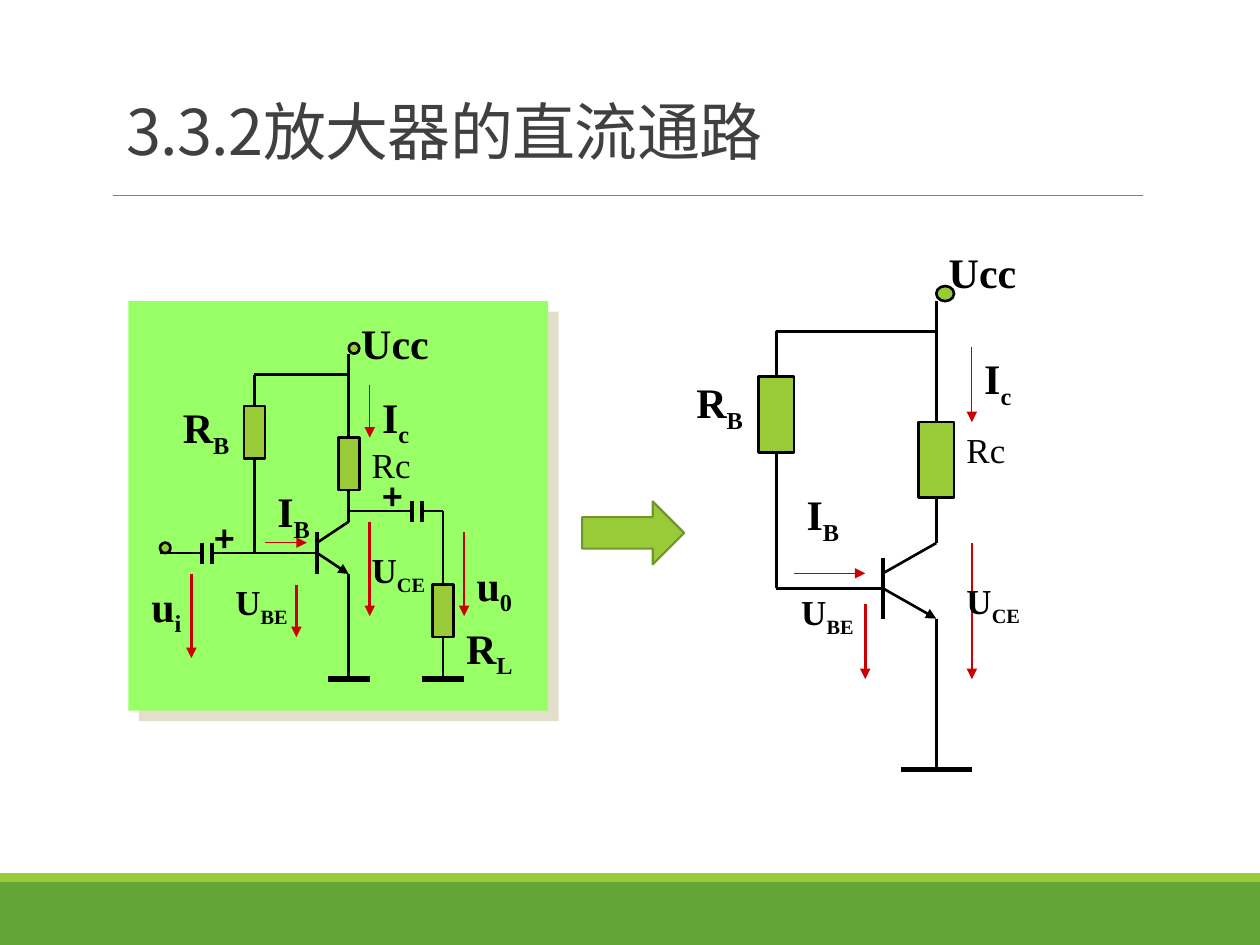
import pptx
import pptx.util
import pptx.dml.color
import pptx.enum.shapes
import pptx.enum.text
import pptx.oxml
import pptx.oxml.ns
from dataclasses import dataclass
from lxml import etree

KIND = pptx.enum.shapes.MSO_SHAPE
ANCHOR = pptx.enum.text.MSO_ANCHOR
qn = pptx.oxml.ns.qn


@dataclass(frozen=True)
class Theme:
    sans: str = "Noto Sans CJK SC"
    serif: str = "Times New Roman"
    black: str = "000000"
    red: str = "CC0000"
    green: str = "99CB38"
    dark: str = "63A537"
    edge: str = "719629"
    panel: str = "99FF66"
    shade: str = "E2DFCC"
    gray: str = "808080"
    ink: str = "404040"
    title: int = 36
    large: int = 24
    small: int = 20
    wire: float = 1.5
    plate: float = 2.25
    earth: float = 3
    thin: float = 0.75


T = Theme()


def rgb(code):
    return pptx.dml.color.RGBColor.from_string(code)


def write(frame, text, sub="", size=T.large, bold=True, font=T.serif,
          color=T.black, space=None, gap=None):
    """Fill a text frame with one paragraph and an optional subscript."""
    frame.word_wrap = True
    para = frame.paragraphs[0]
    para.alignment = pptx.enum.text.PP_ALIGN.LEFT
    para.line_spacing = space
    para.space_before = pptx.util.Pt(0)
    for part, base in ((text, 0), (sub, -25000)):
        if not part:
            continue
        run = para.add_run()
        run.text = part
        run.font.size = pptx.util.Pt(size)
        run.font.bold = bold
        run.font.color.rgb = rgb(color)
        run.font.name = font
        props = run.font._element
        etree.SubElement(props, qn("a:ea"), typeface=font)
        if base:
            props.set("baseline", str(base))
        if gap:
            props.set("spc", str(gap))


class Grid:
    """Draws parts at columns and rows of a box (left, top, width, height)."""

    def __init__(self, shapes, box, cols, rows):
        self.shapes = shapes
        self.left, self.top, width, height = box
        self.dx, self.dy = width / cols, height / rows

    def point(self, col, row):
        return (pptx.util.Inches(self.left + col * self.dx),
                pptx.util.Inches(self.top + row * self.dy))

    def area(self, col, row, wide, high):
        return (*self.point(col, row), pptx.util.Inches(wide * self.dx),
                pptx.util.Inches(high * self.dy))

    def shape(self, kind, area, fill=T.green, line=T.black, width=T.wire):
        item = self.shapes.add_shape(kind, *self.area(*area))
        item.shadow.inherit = False
        item.fill.solid()
        item.fill.fore_color.rgb = rgb(fill)
        if line:
            item.line.color.rgb = rgb(line)
            item.line.width = pptx.util.Pt(width)
        else:
            item.line.fill.background()
        return item

    def wire(self, start, stop, color=T.black, width=T.wire, head=False,
             begin=None, end=None):
        item = self.shapes.add_connector(
            pptx.enum.shapes.MSO_CONNECTOR.STRAIGHT,
            *self.point(*start), *self.point(*stop))
        item.line.color.rgb = rgb(color)
        item.line.width = pptx.util.Pt(width)
        if head:
            etree.SubElement(item.line._get_or_add_ln(), qn("a:tailEnd"),
                             type="triangle")
        etree.SubElement(item._element.spPr, qn("a:effectLst"))
        if begin:
            item.begin_connect(*begin)
        if end:
            item.end_connect(*end)

    def arrow(self, start, stop, width=T.wire):
        self.wire(start, stop, T.red, width, head=True)

    def label(self, area, text, sub="", **form):
        box = self.shapes.add_textbox(*self.area(*area))
        write(box.text_frame, text, sub, **form)

    def node(self, col, row):
        self.shape(KIND.OVAL, (col, row, 1, 1))

    def ground(self, col):
        self.wire((col - 2, 36), (col + 2, 36), width=T.earth)

    def load(self, col, row):
        return self.shape(KIND.RECTANGLE, (col - 1, row, 2, 5))

    def cap(self, col, row):
        for plate in (col, col + 1):
            self.wire((plate, row - 1), (plate, row + 1), width=T.plate)


def stage(grid, bias, drop, name):
    """Transistor with its bias; bias, drop and name place what varies."""
    # Currents and voltages
    grid.arrow((13, 23), (17, 23), T.thin)
    grid.arrow((23, 8), (23, 13), T.thin)
    grid.arrow((23, 21), (23, 30))
    grid.arrow(drop, (drop[0], drop[1] + 5))
    # Transistor
    grid.wire((18, 22), (18, 26), width=T.plate)
    grid.wire((18, 23), (21, 21))
    grid.wire((18, 24), (21, 26), head=True)
    # Collector and emitter branch
    grid.wire((21, 21), (21, 5))
    grid.wire((21, 26), (21, 36))
    grid.ground(21)
    grid.load(21, 13)
    grid.node(21, 4)
    # Base branch
    base = grid.load(12, 10)
    grid.wire((12, 7), (21, 7))
    grid.wire((12, 7), (12, 10), end=(base, 0))
    grid.wire((12, 15), (12, 24), begin=(base, 2))
    # Labels
    grid.label((21, 1, 9, 6), "Ucc")
    grid.label((23, 8, 6, 6), "I", "c")
    grid.label((13, 17, 6, 6), "I", "B")
    grid.label((*bias, 8, 6), "R", "B")
    grid.label((22, 13, 7, 5), "Rc", size=T.small, bold=False)
    grid.label((*name, 8, 5), "U", "BE", size=T.small)
    grid.label((22, 23, 8, 5), "U", "CE", size=T.small)


def full(shapes, box):
    """Whole amplifier on a shaded panel."""
    grid = Grid(shapes, box, 40, 39)
    panel = grid.shape(KIND.RECTANGLE, (0, 0, 40, 39), T.panel, None)
    shade = etree.SubElement(panel._element.spPr.find(qn("a:effectLst")),
                             qn("a:outerShdw"), dist="107950", dir="2700000",
                             algn="ctr", rotWithShape="0")
    etree.SubElement(shade, qn("a:srgbClr"), val=T.shade)
    stage(grid, bias=(4, 9), drop=(16, 27), name=(9, 26))
    # Input
    grid.node(3, 23)
    grid.wire((3, 24), (7, 24))
    grid.cap(7, 24)
    grid.wire((8, 24), (18, 24))
    grid.arrow((6, 26), (6, 34))
    grid.label((1, 26, 7, 6), "u", "i")
    # Output
    load = grid.load(30, 27)
    grid.wire((21, 20), (27, 20))
    grid.cap(27, 20)
    grid.wire((28, 20), (30, 20))
    grid.wire((30, 20), (30, 27), end=(load, 0))
    grid.wire((30, 32), (30, 36), begin=(load, 2))
    grid.ground(30)
    grid.arrow((32, 22), (32, 30))
    grid.label((32, 24, 7, 6), "u", "0")
    grid.label((31, 30, 8, 6), "R", "L")
    for spot in ((23, 16), (7, 20)):
        grid.label((*spot, 5, 5), "+", size=T.small, font=T.sans)


def direct(shapes, box):
    """Path left for direct current."""
    grid = Grid(shapes, box, 40, 39)
    stage(grid, bias=(6.8, 9.6), drop=(17, 25), name=(12.7, 23.75))
    grid.wire((12, 24), (18, 24))


def frame(page, title):
    """Title, rule and footer bands."""
    page.shape(KIND.RECTANGLE, (0, 7, 10, 0.5), T.dark, None)
    page.shape(KIND.RECTANGLE, (0, 6.93, 10, 0.07), T.green, None)
    page.wire((0.9, 1.55), (9.07, 1.55), T.gray, 0.5)
    title.left, title.top, title.width, title.height = page.area(0.9, 0.31, 8.25, 1.08)
    title.text_frame.vertical_anchor = ANCHOR.BOTTOM
    write(title.text_frame, "3.3.2放大器的直流通路", size=T.title, bold=False,
          font=T.sans, color=T.ink, space=0.85, gap=-40)


def main():
    deck = pptx.Presentation()
    deck.slide_width, deck.slide_height = pptx.util.Inches(10), pptx.util.Inches(7.5)
    slide = deck.slides.add_slide(deck.slide_layouts[5])
    page = Grid(slide.shapes, (0, 0, 10, 7.5), 10, 7.5)
    frame(page, slide.shapes.title)
    direct(slide.shapes.add_group_shape().shapes, (4.47, 1.79, 5.64, 4.68))
    full(slide.shapes.add_group_shape().shapes, (1.02, 2.39, 3.33, 3.25))
    page.shape(KIND.RIGHT_ARROW, (4.62, 3.98, 0.81, 0.5), line=T.edge, width=1.25)
    deck.save("out.pptx")


if __name__ == "__main__":
    main()
